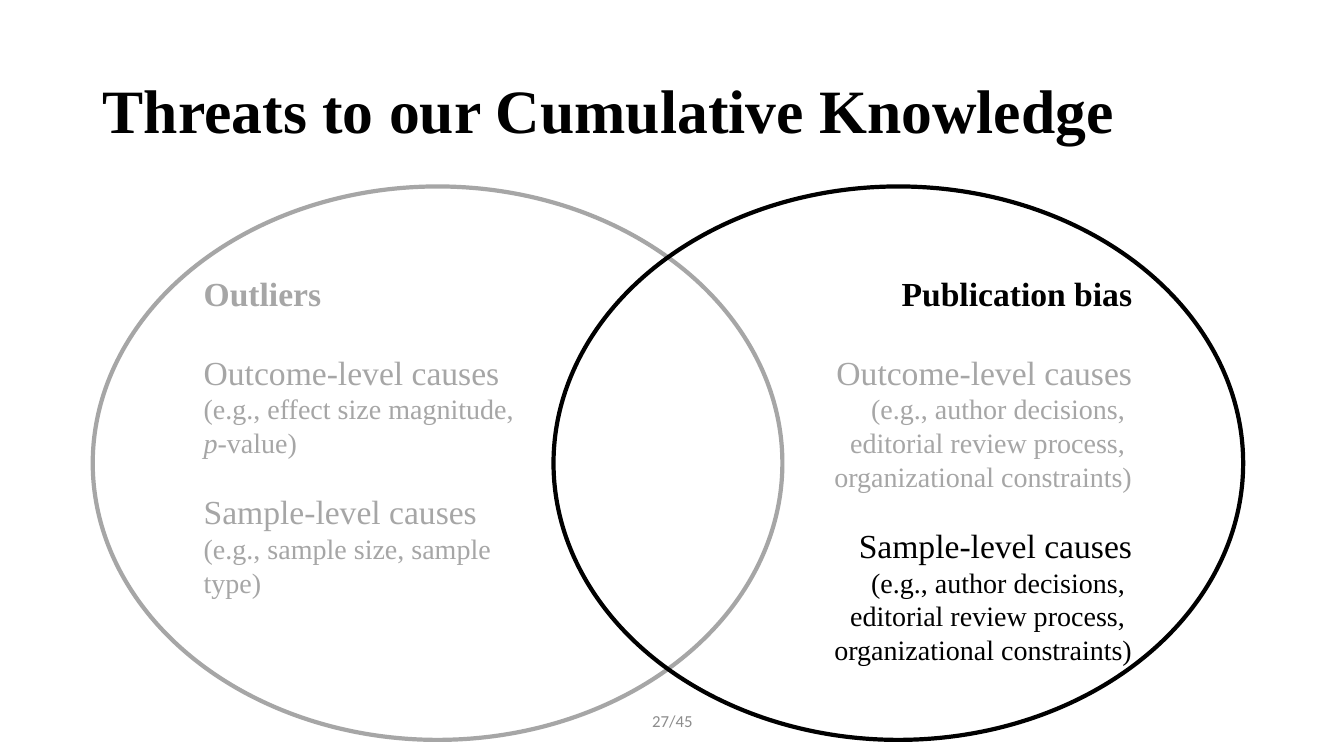
from pptx import Presentation, util as u
from pptx.dml.color import RGBColor
from pptx.enum import shapes, text

PX = 9144  # EMU per px, 100 px to the inch
COLORS = {"black": "000000", "faded": "A6A6A6", "page": "8C8C8C"}
SERIF, SANS = "Times New Roman", "Calibri"
HEADING, DETAIL = 24, 20
LINE = 1.15  # line height relative to text size
ALIGN = text.PP_ALIGN


def px(box):
    return [u.Emu(n * PX) for n in box]


def add_run(paragraph, words, size, color, font=SERIF, bold=False, italic=False):
    run = paragraph.add_run()
    run.text = words
    run.font.name, run.font.size = font, u.Pt(size)
    run.font.bold, run.font.italic = bold, italic
    run.font.color.rgb = RGBColor.from_string(COLORS[color])


def add_title(slide, box, words):
    title = slide.shapes.title
    title.left, title.top, title.width, title.height = px(box)
    frame = title.text_frame
    frame.auto_size = text.MSO_AUTO_SIZE.NONE
    frame.vertical_anchor = text.MSO_ANCHOR.MIDDLE
    heading = frame.paragraphs[0]
    heading.alignment = ALIGN.LEFT
    heading.line_spacing = 0.9
    add_run(heading, words, 44, "black", bold=True)


def add_threat(slide, box, name, color, align, causes):
    """One circle of the diagram: a threat and its groups of causes."""
    circle = slide.shapes.add_shape(shapes.MSO_SHAPE.OVAL, *px(box))
    circle.shadow.inherit = False
    circle.fill.background()
    circle.line.color.rgb = RGBColor.from_string(COLORS[color])
    circle.line.width = u.Pt(3)
    frame = circle.text_frame
    frame.word_wrap = True
    frame.vertical_anchor = text.MSO_ANCHOR.TOP

    threat = frame.paragraphs[0]
    threat.alignment = align
    add_run(threat, name, HEADING, color, bold=True)

    gap = HEADING
    for level, shade, examples in causes:
        cause = frame.add_paragraph()
        cause.alignment = align
        cause.space_before = u.Pt(gap * LINE)
        add_run(cause, level, HEADING, shade)
        for pieces in examples:
            example = frame.add_paragraph()
            example.alignment = align
            for words, italic in pieces:
                add_run(example, words, DETAIL, shade, italic=italic)
        gap = DETAIL


def add_page_number(slide, box, words):
    frame = slide.shapes.add_textbox(*px(box)).text_frame
    frame.word_wrap = True
    frame.vertical_anchor = text.MSO_ANCHOR.MIDDLE
    page = frame.paragraphs[0]
    page.alignment = ALIGN.CENTER
    add_run(page, words, 12, "page", font=SANS)


def main():
    deck = Presentation()
    deck.slide_width, deck.slide_height = px((1333, 750))
    slide = deck.slides.add_slide(deck.slide_layouts[5])

    # Title
    add_title(slide, (92, 40, 1150, 145), "Threats to our Cumulative Knowledge")

    # Overlapping circles
    outcome, sample = "Outcome-level causes", "Sample-level causes"
    add_threat(slide, (92, 185, 684, 549), "Outliers", "faded", ALIGN.LEFT, [
        (outcome, "faded", [[("(e.g., effect size magnitude,", False)],
                            [("p", True), ("-value)", False)]]),
        (sample, "faded", [[("(e.g., sample size, sample", False)],
                           [("type)", False)]]),
    ])
    bias_examples = [[("(e.g., author decisions, ", False)],
                     [("editorial review process, ", False)],
                     [("organizational constraints)", False)]]
    add_threat(slide, (549, 185, 684, 549), "Publication bias", "black", ALIGN.RIGHT, [
        (outcome, "faded", bias_examples),
        (sample, "black", bias_examples),
    ])

    # Page number
    add_page_number(slide, (442, 695, 450, 40), "27/45")
    deck.save("out.pptx")


if __name__ == "__main__":
    main()
